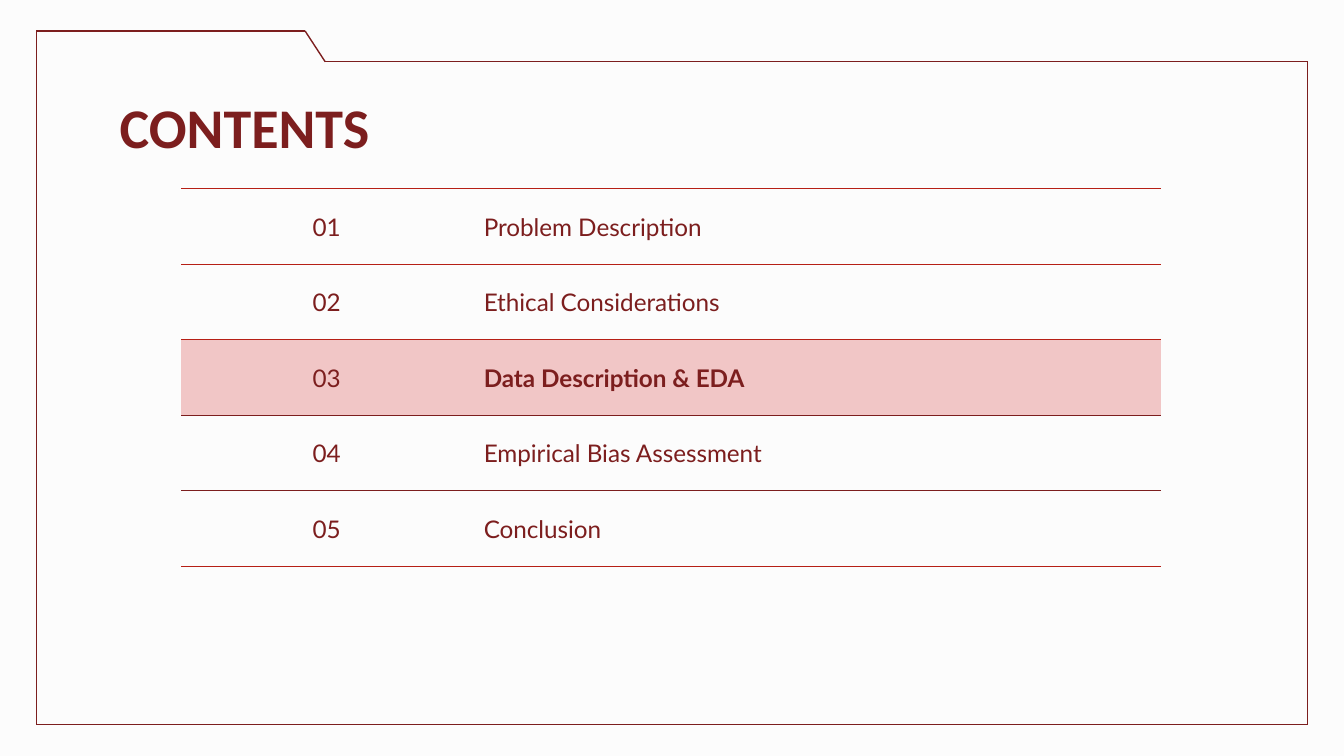
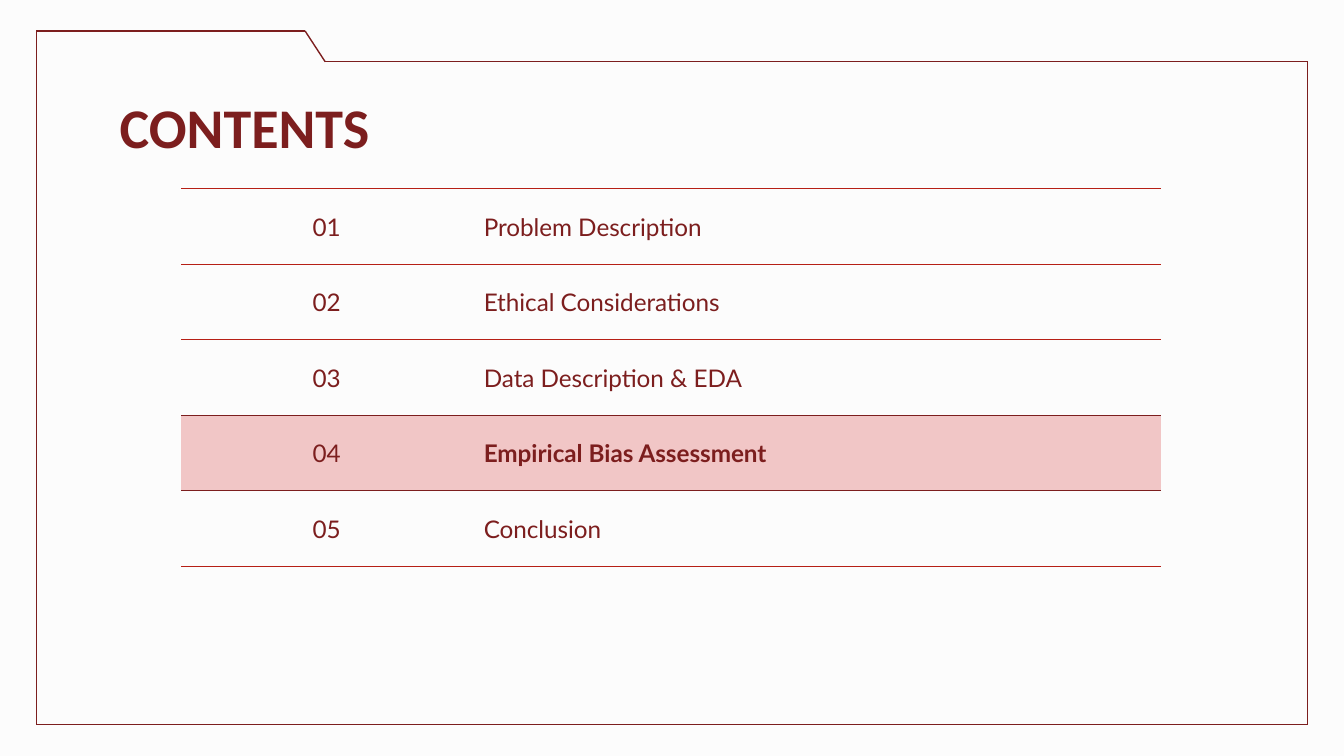
from itertools import pairwise

from lxml import etree
from pptx import Presentation
from pptx.dml.color import RGBColor
from pptx.enum.shapes import MSO_CONNECTOR
from pptx.enum.text import MSO_ANCHOR, MSO_AUTO_SIZE, PP_ALIGN
from pptx.oxml.ns import qn
from pptx.util import Inches, Pt

STRAIGHT = MSO_CONNECTOR.STRAIGHT
TOP, MIDDLE = MSO_ANCHOR.TOP, MSO_ANCHOR.MIDDLE
LEFT, CENTER = PP_ALIGN.LEFT, PP_ALIGN.CENTER
FIXED = MSO_AUTO_SIZE.NONE

PAPER = RGBColor(0xFC, 0xFC, 0xFC)
MAROON = RGBColor(0x7C, 0x1E, 0x1E)
RED = RGBColor(0xB6, 0x1F, 0x16)
PINK = RGBColor(0xF1, 0xC6, 0xC6)

TITLE_FONT, BODY_FONT = "Calibri", "Lato"
TITLE_ONLY = 5
LINE_WIDTH = Pt(0.75)

# The grid has square cells: 100 columns by 56.25 rows.
CELL = Inches(0.1)
COLUMNS, ROWS = 100, 56.25

FOLDER_OUTLINE = [(2.7, 2.3), (22.7, 2.3), (24.2, 4.6), (97.3, 4.6),
                  (97.3, 53.9), (2.7, 53.9), (2.7, 2.3)]
TOPICS = ["Problem Description", "Ethical Considerations",
          "Data Description & EDA", "Empirical Bias Assessment", "Conclusion"]
RULE_COLORS = [RED, RED, RED, MAROON, MAROON, RED]
CURRENT_TOPICS = [3, 4]


def grid(*cells):
    return [round(count * CELL) for count in cells]


def set_border(cell, side, color=None):
    """Draw one side of a cell, or hide it when no colour is given."""
    border = etree.SubElement(cell._tc.get_or_add_tcPr(), qn(f"a:ln{side}"),
                              w=str(LINE_WIDTH))
    if color is None:
        etree.SubElement(border, qn("a:noFill"))
    else:
        fill = etree.SubElement(border, qn("a:solidFill"))
        etree.SubElement(fill, qn("a:srgbClr"), val=str(color))


class FolderDeck:
    def __init__(self):
        self.deck = Presentation()
        self.deck.slide_width, self.deck.slide_height = grid(COLUMNS, ROWS)
        background = self.deck.slide_master.background.fill
        background.solid()
        background.fore_color.rgb = PAPER
        self.page = None

    def new_page(self, title):
        layout = self.deck.slide_layouts[TITLE_ONLY]
        self.page = self.deck.slides.add_slide(layout)
        for start, end in pairwise(FOLDER_OUTLINE):
            self.line(start, end)
        self.title(title)

    def line(self, start, end):
        line = self.page.shapes.add_connector(STRAIGHT, *grid(*start, *end))
        line.line.color.rgb = MAROON
        line.line.width = LINE_WIDTH
        etree.SubElement(line._element.spPr, qn("a:effectLst"))

    def title(self, text):
        box = self.page.shapes.title
        box.left, box.top, box.width, box.height = grid(7.9, 5.9, 84.3, 5.2)
        frame = box.text_frame
        frame.text = text
        frame.word_wrap = True
        frame.auto_size = FIXED
        frame.vertical_anchor = TOP
        frame.margin_left = frame.margin_right = CELL
        frame.margin_top = frame.margin_bottom = CELL
        para = frame.paragraphs[0]
        para.alignment = LEFT
        self.style(para, TITLE_FONT, 30, True)

    def style(self, para, font, size, bold):
        para.font.name = font
        para.font.size = Pt(size)
        para.font.bold = bold
        para.font.color.rgb = MAROON

    def contents(self, topics, current):
        """List numbered topics in a ruled table and mark the current one."""
        table = self.page.shapes.add_table(
            len(topics), 2, *grid(13.5, 14.05, 72.9, 28.1)).table
        table.first_row = table.horz_banding = False
        for column, width in zip(table.columns, grid(21.6, 51.3)):
            column.width = width
        for index, topic in enumerate(topics):
            number = index + 1
            rules = RULE_COLORS[index:index + 2]
            marked = number == current
            number_cell, topic_cell = table.rows[index].cells
            self.cell(number_cell, f"{number:02}", rules, marked)
            self.cell(topic_cell, topic, rules, marked, bold=marked)
            number_cell.text_frame.paragraphs[0].alignment = CENTER
            topic_cell.text_frame.paragraphs[0].space_after = Pt(16)

    def cell(self, cell, text, rules, marked, bold=False):
        cell.text = text
        cell.vertical_anchor = MIDDLE
        cell.margin_left = cell.margin_right = Inches(0.09)
        cell.margin_top = cell.margin_bottom = 0
        self.style(cell.text_frame.paragraphs[0], BODY_FONT, 13, bold)
        for side, color in zip("LRTB", (None, None, *rules)):
            set_border(cell, side, color)
        if marked:
            cell.fill.solid()
            cell.fill.fore_color.rgb = PINK
        else:
            cell.fill.background()


def main():
    folder = FolderDeck()
    for current in CURRENT_TOPICS:
        folder.new_page("CONTENTS")
        folder.contents(TOPICS, current)
    folder.deck.save("out.pptx")


if __name__ == "__main__":
    main()
